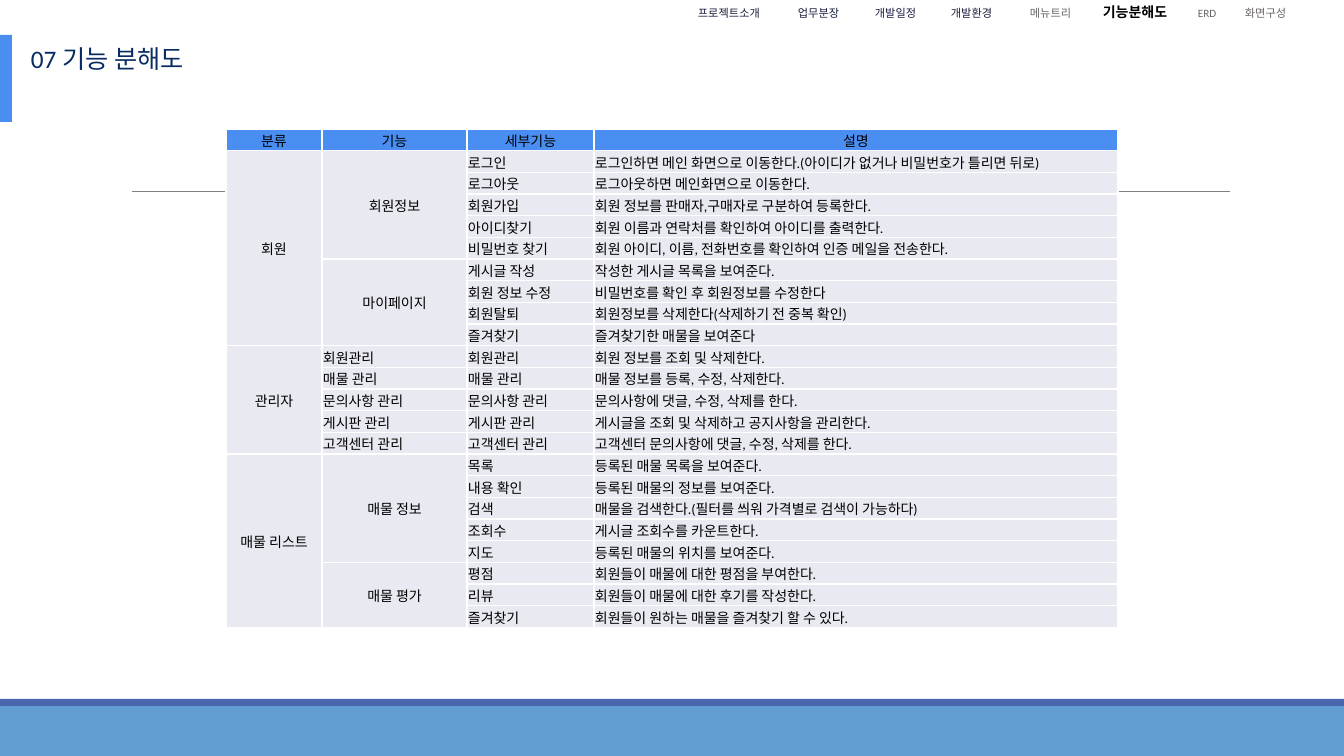
import pptx
import pptx.dml.color
import pptx.enum.shapes
import pptx.enum.text
import pptx.oxml
import pptx.oxml.ns
import pptx.util

RGBColor = pptx.dml.color.RGBColor
BLACK = RGBColor(0x00, 0x00, 0x00)
GRAY = RGBColor(0x80, 0x80, 0x80)
MUTED = RGBColor(0x68, 0x64, 0x64)
NAVY = RGBColor(0x07, 0x2C, 0x62)
INK = RGBColor(0x1B, 0x1E, 0x3E)
BLUE = RGBColor(0x4A, 0x8E, 0xF2)
INDIGO = RGBColor(0x4A, 0x66, 0xAC)
SKY = RGBColor(0x62, 0x9D, 0xD1)
PALE = RGBColor(0xE9, 0xEA, 0xF1)

WIDTH, HEIGHT = 1344, 756
EMU_PER_PX = 12192000 / WIDTH

HEADERS = ["분류", "기능", "세부기능", "설명"]
COLUMN_WIDTHS = [96, 145, 127, 524]
CATEGORIES = [("회원", 9), ("관리자", 5), ("매물 리스트", 8)]
FUNCTIONS = [
    ("회원정보", [
        ("로그인", "로그인하면 메인 화면으로 이동한다.(아이디가 없거나 비밀번호가 틀리면 뒤로)"),
        ("로그아웃", "로그아웃하면 메인화면으로 이동한다."),
        ("회원가입", "회원 정보를 판매자,구매자로 구분하여 등록한다."),
        ("아이디찾기", "회원 이름과 연락처를 확인하여 아이디를 출력한다."),
        ("비밀번호 찾기", "회원 아이디, 이름, 전화번호를 확인하여 인증 메일을 전송한다."),
    ]),
    ("마이페이지", [
        ("게시글 작성", "작성한 게시글 목록을 보여준다."),
        ("회원 정보 수정", "비밀번호를 확인 후 회원정보를 수정한다"),
        ("회원탈퇴", "회원정보를 삭제한다(삭제하기 전 중복 확인)"),
        ("즐겨찾기", "즐겨찾기한 매물을 보여준다"),
    ]),
    ("회원관리", [("회원관리", "회원 정보를 조회 및 삭제한다.")]),
    ("매물 관리", [("매물 관리", "매물 정보를 등록, 수정, 삭제한다.")]),
    ("문의사항 관리", [("문의사항 관리", "문의사항에 댓글, 수정, 삭제를 한다.")]),
    ("게시판 관리", [("게시판 관리", "게시글을 조회 및 삭제하고 공지사항을 관리한다.")]),
    ("고객센터 관리", [("고객센터 관리", "고객센터 문의사항에 댓글, 수정, 삭제를 한다.")]),
    ("매물 정보", [
        ("목록", "등록된 매물 목록을 보여준다."),
        ("내용 확인", "등록된 매물의 정보를 보여준다."),
        ("검색", "매물을 검색한다.(필터를 씌워 가격별로 검색이 가능하다)"),
        ("조회수", "게시글 조회수를 카운트한다."),
        ("지도", "등록된 매물의 위치를 보여준다."),
    ]),
    ("매물 평가", [
        ("평점", "회원들이 매물에 대한 평점을 부여한다."),
        ("리뷰", "회원들이 매물에 대한 후기를 작성한다."),
        ("즐겨찾기", "회원들이 원하는 매물을 즐겨찾기 할 수 있다."),
    ]),
]
MENU = [
    ("프로젝트소개", 0, 8, INK, False),
    ("업무분장", 100, 8, INK, False),
    ("개발일정", 177, 8, INK, False),
    ("개발환경", 253, 8, INK, False),
    ("메뉴트리", 332, 8, MUTED, False),
    ("기능분해도", 405, 10, BLACK, True),
    ("ERD", 500, 8, MUTED, False),
    ("화면구성", 547, 8, MUTED, False),
]


def px(length):
    return pptx.util.Emu(round(length * EMU_PER_PX))


def add_child(parent, tag, **attributes):
    child = pptx.oxml.parse_xml(f"<{tag} {pptx.oxml.ns.nsdecls('a')}/>")
    for name, value in attributes.items():
        child.set(name, str(value))
    parent.append(child)
    return child


class SlideBuilder:
    font_name = "Calibri"

    def __init__(self, slide):
        self.slide = slide

    def style(self, font, size, color, bold=False):
        font.name = self.font_name
        font.size = pptx.util.Pt(size)
        font.bold = bold
        font.color.rgb = color

    def bar(self, left, top, width, height, color):
        shape = self.slide.shapes.add_shape(
            pptx.enum.shapes.MSO_SHAPE.RECTANGLE,
            px(left), px(top), px(width), px(height))
        shape.shadow.inherit = False
        shape.fill.solid()
        shape.fill.fore_color.rgb = color
        shape.line.fill.background()

    def rule(self, left, right, y, color):
        connector = self.slide.shapes.add_connector(
            pptx.enum.shapes.MSO_CONNECTOR.STRAIGHT, px(left), px(y), px(right), px(y))
        connector.line.color.rgb = color
        connector.line.width = pptx.util.Pt(0.5)
        add_child(connector._element.spPr, "a:effectLst")

    def text_box(self, left, top, width, height, wrap=True):
        shape = self.slide.shapes.add_textbox(px(left), px(top), px(width), px(height))
        shape.text_frame.word_wrap = wrap
        return shape.text_frame.paragraphs[0]

    def title(self, text, left, top, width, height):
        paragraph = self.text_box(left, top, width, height, wrap=False)
        paragraph.text = text
        self.style(paragraph.font, 18, NAVY)

    def menu(self, items, left, top, width, height):
        paragraph = self.text_box(left, top, width, height)
        tabs = add_child(paragraph._p.get_or_add_pPr(), "a:tabLst")
        for index, (text, offset, size, color, bold) in enumerate(items):
            if index:
                add_child(tabs, "a:tab", pos=px(offset), algn="l")
            run = paragraph.add_run()
            run.text = "\t" + text if index else text
            self.style(run.font, size, color, bold)

    def cell(self, cell, text, fill, centered):
        cell.margin_left = cell.margin_right = cell.margin_top = px(1)
        cell.margin_bottom = 0
        cell.vertical_anchor = pptx.enum.text.MSO_ANCHOR.MIDDLE
        properties = cell._tc.get_or_add_tcPr()
        for side in ("a:lnL", "a:lnR", "a:lnT", "a:lnB"):
            border = add_child(properties, side, w=pptx.util.Pt(1))
            add_child(add_child(border, "a:solidFill"), "a:srgbClr", val="FFFFFF")
        cell.fill.solid()
        cell.fill.fore_color.rgb = fill
        paragraph = cell.text_frame.paragraphs[0]
        paragraph.text = text
        if centered:
            paragraph.alignment = pptx.enum.text.PP_ALIGN.CENTER
        self.style(paragraph.font, 10, BLACK)

    def function_table(self, left, top, height):
        rows = [HEADERS]
        spans = []
        for function, details in FUNCTIONS:
            spans.append((len(rows), 1, len(details)))
            for index, detail in enumerate(details):
                rows.append(["", "" if index else function, *detail])
        start = 1
        for category, count in CATEGORIES:
            rows[start][0] = category
            spans.append((start, 0, count))
            start += count
        table = self.slide.shapes.add_table(
            len(rows), len(HEADERS), px(left), px(top),
            px(sum(COLUMN_WIDTHS)), px(height)).table
        table.first_row = table.horz_banding = False
        for column, width in zip(table.columns, COLUMN_WIDTHS):
            column.width = px(width)
        merged = {(row, column) for row, column, count in spans if count > 1}
        for row, texts in enumerate(rows):
            for column, text in enumerate(texts):
                self.cell(table.cell(row, column), text, PALE if row else BLUE,
                          row == 0 or (row, column) in merged)
        for row, column, count in spans:
            if count > 1:
                table.cell(row, column).merge(table.cell(row + count - 1, column))


def main():
    presentation = pptx.Presentation()
    presentation.slide_width = px(WIDTH)
    presentation.slide_height = px(HEIGHT)
    builder = SlideBuilder(presentation.slides.add_slide(presentation.slide_layouts[6]))
    builder.bar(0, 706, WIDTH, 50, SKY)
    builder.bar(0, 699, WIDTH, 7, INDIGO)
    builder.rule(132, 1230, 191, GRAY)
    builder.function_table(226, 129, 499)
    builder.bar(0, 35, 12, 87, BLUE)
    builder.title("07 기능 분해도", 21, 38, 190, 40)
    builder.menu(MENU, 688, -1, 655, 40)
    presentation.save("out.pptx")


if __name__ == "__main__":
    main()
